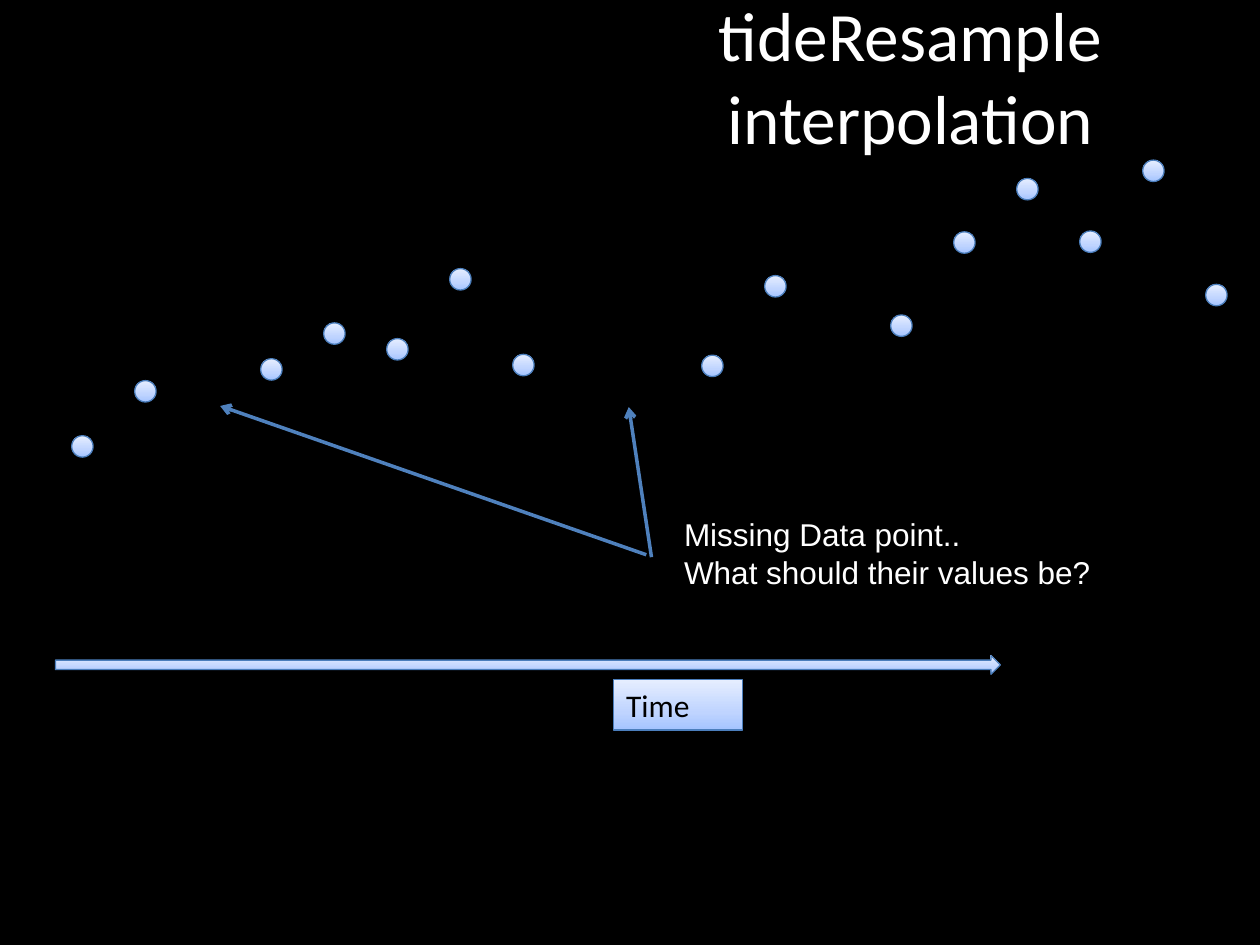
from copy import deepcopy
from lxml import etree
from pptx import Presentation
from pptx.dml import color
from pptx.enum import shapes, text
from pptx.oxml import ns
from pptx.util import Pt

SHADES = [(0, "A4C4FF"), (0.35, "BFD4FF"), (1, "E6EEFF")]
STEP, SIZE = 36, 12.24
DOTS = {0: 249, 1: 217.5, 3: 205, 4: 184.5, 5: 193.5, 6: 153.5, 7: 202.5,
        10: 203, 11: 157.5, 13: 180, 14: 132.5, 15: 102, 16: 132, 17: 91.5,
        18: 162.5}


def hue(code):
    return color.RGBColor.from_string(code)


def put(item, form):
    for key, val in form.items():
        setattr(item, key, val)


def style(para, name, size, code):
    put(para.font, {"name": name, "size": Pt(size)})
    para.font.color.rgb = hue(code)


def shape(slide, kind, box):
    item = slide.shapes.add_shape(kind, *map(Pt, box))
    item.shadow.inherit = False
    item.fill.gradient()
    item.fill.gradient_angle = 90
    stops = item._element.spPr.find(".//" + ns.qn("a:gsLst"))
    stops.insert(1, deepcopy(stops[0]))
    for stop, (place, code) in zip(item.fill.gradient_stops, SHADES):
        stop.position = place
        stop.color.rgb = hue(code)
    item.line.color.rgb = hue("4B7EBC")
    item.line.width = Pt(0.75)
    return item


def title(slide, box):
    head = slide.shapes.title
    put(head, dict(zip(("left", "top", "width", "height"), map(Pt, box))))
    frame = head.text_frame
    frame.text = "tideResample\vinterpolation"
    put(frame, {"vertical_anchor": text.MSO_ANCHOR.MIDDLE, "word_wrap": True,
                "auto_size": text.MSO_AUTO_SIZE.NONE})
    para = frame.paragraphs[0]
    para.alignment = text.PP_ALIGN.CENTER
    style(para, "Calibri", 39.6, "FFFFFF")


def axis(slide, box):
    left, top, wide, high = box
    shape(slide, shapes.MSO_SHAPE.RIGHT_ARROW, box)
    label = shape(slide, shapes.MSO_SHAPE.RECTANGLE,
                  (left + 319, top + 13.7, 73.5, 29))
    frame = label.text_frame
    frame.text = "Time"
    put(frame, {"vertical_anchor": text.MSO_ANCHOR.TOP, "word_wrap": True})
    para = frame.paragraphs[0]
    para.alignment = text.PP_ALIGN.LEFT
    style(para, "Calibri", 18, "000000")


def plot(slide, left):
    for slot, top in DOTS.items():
        shape(slide, shapes.MSO_SHAPE.OVAL,
              (left + slot * STEP, top, SIZE, SIZE))


def arrow(slide, start, end):
    line = slide.shapes.add_connector(shapes.MSO_CONNECTOR.STRAIGHT,
                                      *map(Pt, start + end))
    line.line.color.rgb = hue("4F81BD")
    line.line.width = Pt(2)
    tip = etree.SubElement(line.line._get_or_add_ln(), ns.qn("a:tailEnd"))
    tip.set("type", "arrow")
    etree.SubElement(line._element.spPr, ns.qn("a:effectLst"))


def note(slide, box):
    left, top, wide, high = box
    frame = slide.shapes.add_textbox(*map(Pt, box)).text_frame
    frame.text = "Missing Data point..\nWhat should their values be?"
    frame.word_wrap = False
    for para in frame.paragraphs:
        style(para, "Arial", 18, "FFFFFF")
    arrow(slide, (left - 11.5, top + 27.4), (left - 24.5, top - 58.4))
    arrow(slide, (left - 14.5, top + 26), (left - 258, top - 59))


def main():
    deck = Presentation()
    put(deck, {"slide_width": Pt(720), "slide_height": Pt(540)})
    slide = deck.slides.add_slide(deck.slide_layouts[5])
    back = slide.background.fill
    back.solid()
    back.fore_color.rgb = hue("000000")
    title(slide, (356.5, 19.5, 327.5, 47.5))
    axis(slide, (31.7, 374.5, 540, 10.8))
    plot(slide, 41)
    note(slide, (383.8, 291, 249, 51))
    deck.save("out.pptx")


if __name__ == "__main__":
    main()
